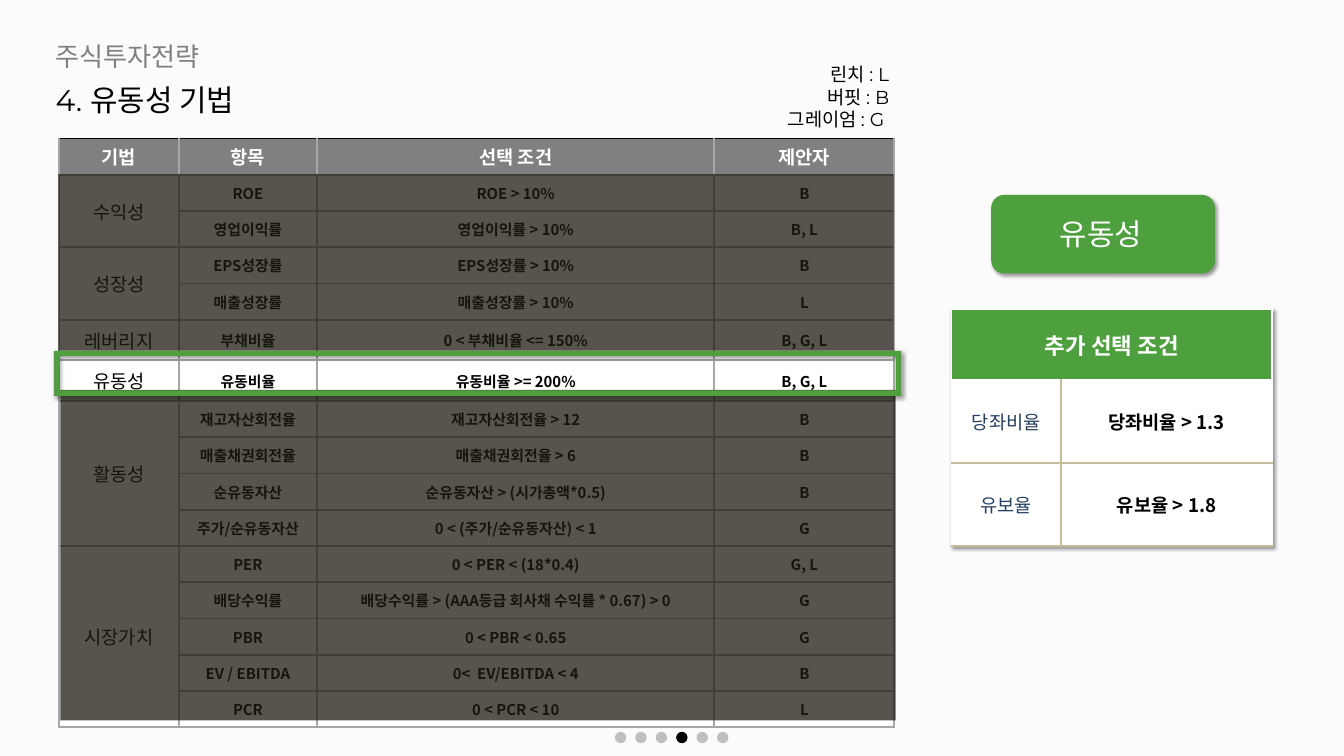
from lxml import etree
from pptx import Presentation
from pptx.dml.color import RGBColor
from pptx.enum.shapes import MSO_SHAPE
from pptx.enum.text import MSO_ANCHOR, PP_ALIGN
from pptx.oxml.ns import qn
from pptx.util import Inches, Pt

LEFT, CENTER, RIGHT = PP_ALIGN.LEFT, PP_ALIGN.CENTER, PP_ALIGN.RIGHT
MIDDLE = MSO_ANCHOR.MIDDLE
RECT, ROUNDED, FRAME = MSO_SHAPE.RECTANGLE, MSO_SHAPE.ROUNDED_RECTANGLE, MSO_SHAPE.FRAME
ARC, DOT = MSO_SHAPE.BLOCK_ARC, MSO_SHAPE.FLOWCHART_CONNECTOR
SANS, DISPLAY = "Noto Sans CJK KR", "Montserrat"
C = {"bg": "FBFBFB", "white": "FFFFFF", "black": "000000", "green": "4E9F3D",
     "gray": "808080", "silver": "BFBFBF", "grid": "A6A6A6", "shade": "1E1C11",
     "navy": "254061", "tan": "C4BD97"}

HEADER = ("기법", "항목", "선택 조건", "제안자")
GROUPS = [
    ("수익성", [("ROE", "ROE > 10%", "B"),
             ("영업이익률", "영업이익률 > 10%", "B, L")]),
    ("성장성", [("EPS성장률", "EPS성장률 > 10%", "B"),
             ("매출성장률", "매출성장률 > 10%", "L")]),
    ("레버리지", [("부채비율", "0 < 부채비율 <= 150%", "B, G, L")]),
    ("유동성", [("유동비율", "유동비율 >= 200%", "B, G, L")]),
    ("활동성", [("재고자산회전율", "재고자산회전율 > 12", "B"),
             ("매출채권회전율", "매출채권회전율 > 6", "B"),
             ("순유동자산", "순유동자산 > (시가총액*0.5)", "B"),
             ("주가/순유동자산", "0 < (주가/순유동자산) < 1", "G")]),
    ("시장가치", [("PER", "0 < PER < (18*0.4)", "G, L"),
              ("배당수익률", "배당수익률 > (AAA등급 회사채 수익률 * 0.67) > 0", "G"),
              ("PBR", "0 < PBR < 0.65", "G"),
              ("EV / EBITDA", "0<  EV/EBITDA < 4", "B"),
              ("PCR", "0 < PCR < 10", "L")]),
]
EXTRA_TITLE = "추가 선택 조건"
EXTRA = [("당좌비율", "당좌비율 > 1.3"), ("유보율", "유보율 > 1.8")]
LEGEND = "린치 : L\n버핏 : B\n그레이엄 : G "
DOT_COUNT, ACTIVE_DOT = 6, 3


def rgb(name):
    return RGBColor.from_string(C[name])


def write(tf, text, size=20, color="black", font=SANS, bold=False, align=LEFT):
    for i, line in enumerate(text.split("\n")):
        p = tf.paragraphs[0] if i == 0 else tf.add_paragraph()
        p.alignment = align
        r = p.add_run()
        r.text = line
        r.font.size, r.font.name, r.font.bold = Pt(size), font, bold
        r.font.color.rgb = rgb(color)


def add_text(s, box, text, **fmt):
    tf = s.shapes.add_textbox(*map(Inches, box)).text_frame
    tf.word_wrap = True
    write(tf, text, **fmt)


def shadow_effect():
    effects = etree.Element(qn("a:effectLst"))
    outer = etree.SubElement(effects, qn("a:outerShdw"), blurRad=str(Pt(4)), dist=str(Pt(3)),
                             dir=str(45 * 60000), algn="tl", rotWithShape="0")
    color = etree.SubElement(outer, qn("a:srgbClr"), val=C["black"])
    etree.SubElement(color, qn("a:alpha"), val="40000")
    return effects


def add_shape(s, kind, box, color, alpha=None, shadow=False, adj=(), rotation=0):
    sp = s.shapes.add_shape(kind, *map(Inches, box))
    sp.shadow.inherit = False
    sp.fill.solid()
    sp.fill.fore_color.rgb = rgb(color)
    sp.line.fill.background()
    sp.rotation = rotation
    for i, value in enumerate(adj):
        sp.adjustments[i] = value
    props = sp.fill._xPr
    if alpha is not None:
        etree.SubElement(props.find(".//" + qn("a:srgbClr")), qn("a:alpha"), val=str(alpha * 1000))
    if shadow:
        props.replace(props.find(qn("a:effectLst")), shadow_effect())


def add_table(s, box, widths, heights):
    frame = s.shapes.add_table(len(heights), len(widths), *map(Inches, box))
    table = frame.table
    table.horz_banding = False
    for col, width in zip(table.columns, widths):
        col.width = Inches(width)
    for row, height in zip(table.rows, heights):
        row.height = Inches(height)
    return table


def style_cell(cell, fill, borders, margin=0.05):
    """Borders are (colour, points) pairs in the order left, right, top, bottom."""
    tcPr = cell._tc.get_or_add_tcPr()
    for side, (color, width) in zip("LRTB", borders):
        ln = etree.SubElement(tcPr, qn("a:ln" + side), w=str(Pt(width)))
        solid = etree.SubElement(ln, qn("a:solidFill"))
        etree.SubElement(solid, qn("a:srgbClr"), val=C[color])
    cell.fill.solid()
    cell.fill.fore_color.rgb = rgb(fill)
    cell.vertical_anchor = MIDDLE
    cell.margin_top = cell.margin_bottom = Inches(margin)


def add_criteria_table(s):
    row_count = 1 + sum(len(items) for _, items in GROUPS)
    table = add_table(s, (0.88, 2.06, 12.43, 8.65), (1.78, 2.06, 5.91, 2.68), [0.54] * row_count)
    grid = ("grid", 2.25)
    for c, title in enumerate(HEADER):
        style_cell(table.cell(0, c), "gray", (grid, grid, ("black", 2.25), grid))
        write(table.cell(0, c).text_frame, title, color="white", bold=True, align=CENTER)
    top = 1
    for group, items in GROUPS:
        for r, item in enumerate(items, top):
            for c in range(len(HEADER)):
                left = ("grid", 3) if c == 0 else grid
                style_cell(table.cell(r, c), "white", (left, grid, grid, grid), margin=0.1)
            for c, text in enumerate(item, 1):
                write(table.cell(r, c).text_frame, text, size=16, bold=True, align=CENTER)
        if len(items) > 1:
            table.cell(top, 0).merge(table.cell(top + len(items) - 1, 0))
        write(table.cell(top, 0).text_frame, group, align=CENTER)
        top += len(items)


def add_extra_table(s):
    table = add_table(s, (14.16, 4.6, 4.77, 3.54), (1.63, 3.14), (1.05, 1.24, 1.24))
    table._tbl.tblPr.insert(0, shadow_effect())
    white, tan = ("white", 2.25), ("tan", 2.25)
    for c in range(2):
        style_cell(table.cell(0, c), "green", [white] * 4)
    table.cell(0, 0).merge(table.cell(0, 1))
    write(table.cell(0, 0).text_frame, EXTRA_TITLE, size=24, color="white", bold=True, align=CENTER)
    for r, (name, rule) in enumerate(EXTRA, 1):
        above = white if r == 1 else tan
        style_cell(table.cell(r, 0), "white", (white, tan, above, tan))
        style_cell(table.cell(r, 1), "white", (tan, white, above, tan))
        write(table.cell(r, 0).text_frame, name, color="navy", align=CENTER)
        write(table.cell(r, 1).text_frame, rule, bold=True, align=CENTER)


def main():
    prs = Presentation()
    prs.slide_width, prs.slide_height = Inches(20), Inches(11.25)
    s = prs.slides.add_slide(prs.slide_layouts[6])
    s.background.fill.solid()
    s.background.fill.fore_color.rgb = rgb("bg")

    add_criteria_table(s)
    # Arc angles are in 60000ths of a degree, adjustments in 100000ths
    add_shape(s, ARC, (-1.45, -2.1, 3.99, 3.99), "silver", alpha=60,
              adj=(108 * 0.6, 213.71 * 0.6, 0.21), rotation=140.1)
    add_text(s, (0.73, 0.55, 5.23, 0.57), "주식투자전략", size=28, color="gray", font=DISPLAY)
    add_text(s, (0.73, 1.17, 6.85, 0.64), "4. 유동성 기법", size=32, font=DISPLAY)
    add_extra_table(s)
    add_text(s, (11.53, 0.89, 1.8, 1.45), LEGEND, font=DISPLAY, align=RIGHT)

    add_shape(s, RECT, (0.9, 5.8, 12.43, 4.92), "shade", alpha=75)
    add_shape(s, ROUNDED, (14.75, 2.9, 3.33, 1.17), "green", shadow=True)
    add_text(s, (15.67, 3.16, 1.74, 0.64), "유동성", size=32, color="white")
    add_shape(s, FRAME, (0.8, 5.22, 12.61, 0.67), "green", shadow=True, adj=(0.12,))
    for i in range(DOT_COUNT):
        add_shape(s, DOT, (9.15 + 0.304 * i, 10.89, 0.17, 0.17),
                  "black" if i == ACTIVE_DOT else "silver")
    add_shape(s, RECT, (0.87, 2.59, 12.43, 2.63), "shade", alpha=75)
    prs.save("out.pptx")


if __name__ == "__main__":
    main()
